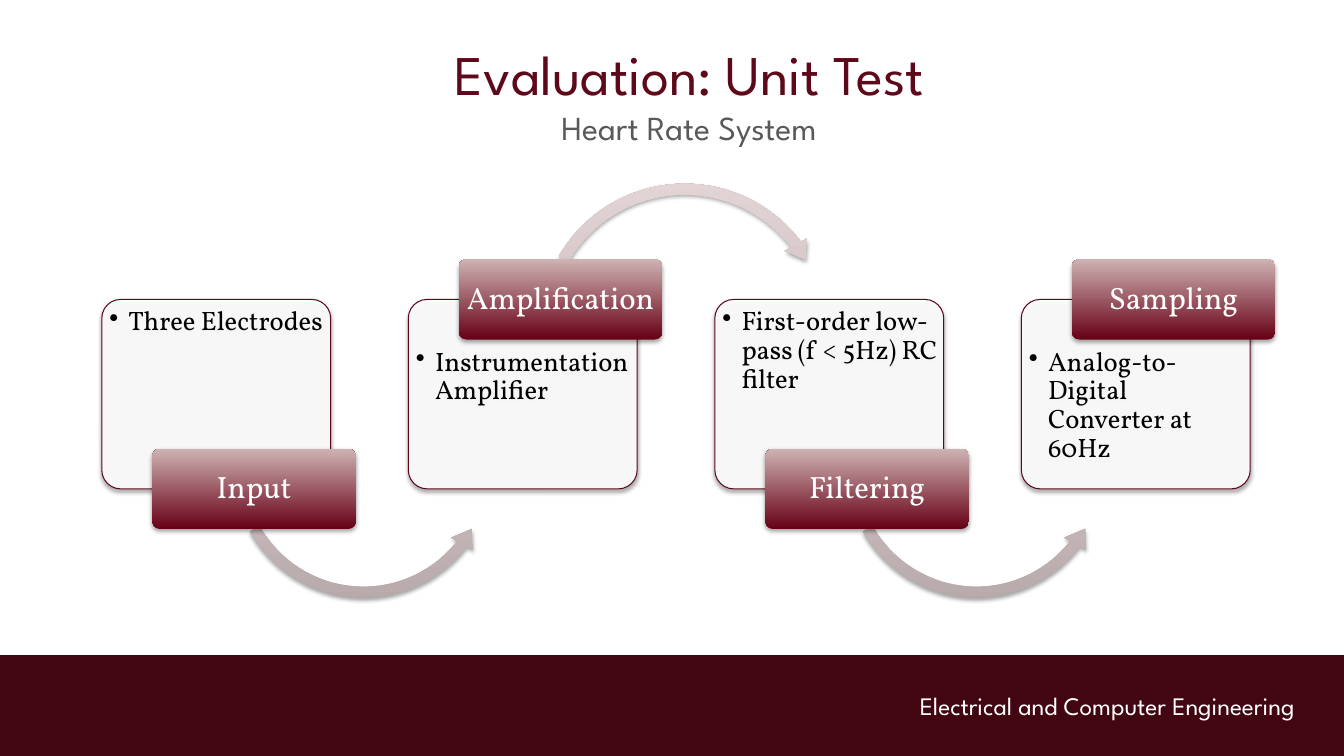
from dataclasses import dataclass

from lxml import etree
from pptx import Presentation
from pptx.dml.color import RGBColor
from pptx.enum.shapes import MSO_SHAPE
from pptx.enum.text import MSO_ANCHOR, PP_ALIGN
from pptx.oxml.ns import qn
from pptx.util import Inches, Pt

RECTANGLE, ROUNDED = MSO_SHAPE.RECTANGLE, MSO_SHAPE.ROUNDED_RECTANGLE
ARC_OVER, ARC_UNDER = MSO_SHAPE.CIRCULAR_ARROW, MSO_SHAPE.LEFT_CIRCULAR_ARROW
LEFT, CENTER, RIGHT = PP_ALIGN.LEFT, PP_ALIGN.CENTER, PP_ALIGN.RIGHT
TOP, MIDDLE = MSO_ANCHOR.TOP, MSO_ANCHOR.MIDDLE

HEADING_FONT, BODY_FONT = "League Spartan", "Vollkorn"
MAROON, DARK_MAROON, WHITE, BLACK, GREY = "5E091A", "410611", "FFFFFF", "000000", "595959"
LABEL_SHADES = ("670015", "CFB3B4")
ARROW_SHADES = ("B8AAAA", "E3D5D6")

# Grid of the four steps, in inches
SLIDE_W, SLIDE_H = 13.33, 7.5
FIRST_COLUMN, COLUMN_PITCH = 1.01, 3.04
PANEL_TOP, PANEL_W, PANEL_H = 2.97, 2.27, 1.88
LABEL_SHIFT, LABEL_W, LABEL_H = 0.5, 2.02, 0.8
ARROW_SHIFT = 1.23
BAND_H = 1.0


@dataclass(frozen=True)
class Step:
    name: str
    detail: str
    label_above: bool


@dataclass(frozen=True)
class Arc:
    preset: MSO_SHAPE
    top: float
    size: float
    adjustments: tuple[float, ...]


STEPS = (
    Step("Input", "Three Electrodes", False),
    Step("Amplification", "Instrumentation Amplifier", True),
    Step("Filtering", "First-order low-pass (f < 5Hz) RC filter", False),
    Step("Sampling", "Analog-to-Digital Converter at 60Hz", True),
)
OVER = Arc(ARC_OVER, 1.75, 3.02, (0.036, 4.463, 193.782, 125.755, 0.042))
UNDER = Arc(ARC_UNDER, 3.27, 2.73, (0.04, 4.983, 22.738, 90.245, 0.046))


def color(hex_code: str) -> RGBColor:
    return RGBColor.from_string(hex_code)


def box(left: float, top: float, width: float, height: float) -> tuple:
    return Inches(left), Inches(top), Inches(width), Inches(height)


def write(holder, *lines, font=BODY_FONT, align=LEFT, anchor=TOP, spacing=None,
          insets=(0.1, 0.05, 0.1, 0.05), bullet_indent=0.0) -> None:
    """Fill one paragraph with lines given as (text, size, colour)."""
    frame = holder.text_frame
    frame.word_wrap = True
    frame.vertical_anchor = anchor
    (frame.margin_left, frame.margin_top,
     frame.margin_right, frame.margin_bottom) = box(*insets)
    paragraph = frame.paragraphs[0]
    paragraph.alignment = align
    if spacing:
        paragraph.line_spacing = spacing
    if bullet_indent:
        properties = paragraph._p.get_or_add_pPr()
        properties.set("marL", str(Inches(bullet_indent)))
        properties.set("indent", str(-Inches(bullet_indent)))
        etree.SubElement(properties, qn("a:buChar"), char="•")
    for index, (text, size, hex_code) in enumerate(lines):
        if index:
            paragraph.add_line_break()
        run = paragraph.add_run()
        run.text = text
        run.font.name, run.font.size = font, Pt(size)
        run.font.color.rgb = color(hex_code)


def draw(slide, preset, place: tuple, fill=None, shades=None, outline=None,
         opacity=None, adjustments=(), shadow=True):
    """Draw a preset shape, filled plainly or with shades from bottom to top."""
    shape = slide.shapes.add_shape(preset, *box(*place))
    for index, value in enumerate(adjustments):
        shape.adjustments[index] = value
    if shades:
        shape.fill.gradient()
        shape.fill.gradient_angle = 90
        for stop, position, shade in zip(shape.fill.gradient_stops, (0, 1), shades):
            stop.position = position
            stop.color.rgb = color(shade)
    else:
        shape.fill.solid()
        shape.fill.fore_color.rgb = color(fill)
    properties = shape._element.spPr
    if opacity:
        solid = properties.find(qn("a:solidFill"))
        etree.SubElement(solid[0], qn("a:alpha"), val=str(opacity * 1000))
    if outline:
        shape.line.color.rgb = color(outline)
        shape.line.width = Pt(0.75)
    else:
        shape.line.fill.background()
    shape.shadow.inherit = False
    if shadow:
        outer = etree.SubElement(
            properties.find(qn("a:effectLst")), qn("a:outerShdw"),
            blurRad=str(Pt(3.1)), dist=str(Pt(1.8)), dir="5400000", rotWithShape="0")
        tone = etree.SubElement(outer, qn("a:srgbClr"), val=BLACK)
        etree.SubElement(tone, qn("a:alpha"), val="35000")
    return shape


def draw_step(slide, index: int, step: Step) -> None:
    left = FIRST_COLUMN + index * COLUMN_PITCH

    # Panel with the detail, kept clear of a label on its top edge
    panel = draw(slide, ROUNDED, (left, PANEL_TOP, PANEL_W, PANEL_H), fill=WHITE,
                 outline=MAROON, opacity=90, adjustments=(0.1,))
    clearance = LABEL_H / 2 if step.label_above else 0
    write(panel, (step.detail, 19, BLACK), spacing=0.9, bullet_indent=0.19,
          insets=(0.02, 0.03 + clearance, 0, 0.04))

    # Arrow to the next step
    if index < len(STEPS) - 1:
        arc = OVER if step.label_above else UNDER
        draw(slide, arc.preset, (left + ARROW_SHIFT, arc.top, arc.size, arc.size),
             shades=ARROW_SHADES, adjustments=arc.adjustments)

    # Label centred on the panel's top or bottom edge
    edge = PANEL_TOP if step.label_above else PANEL_TOP + PANEL_H
    label = draw(slide, ROUNDED,
                 (left + LABEL_SHIFT, edge - LABEL_H / 2, LABEL_W, LABEL_H),
                 shades=LABEL_SHADES, adjustments=(0.1,))
    write(label, (step.name, 22, WHITE), align=CENTER, anchor=MIDDLE, spacing=0.9,
          insets=(0.05, 0.03, 0.05, 0.03))


def main() -> None:
    deck = Presentation()
    deck.slide_width, deck.slide_height = Inches(SLIDE_W), Inches(SLIDE_H)
    slide = deck.slides.add_slide(deck.slide_layouts[6])

    # Footer band
    draw(slide, RECTANGLE, (0, SLIDE_H - BAND_H, SLIDE_W, BAND_H),
         fill=DARK_MAROON, shadow=False)
    department = slide.shapes.add_textbox(*box(7.89, 6.8, 5.05, 0.4))
    write(department, ("Electrical and Computer Engineering", 18, WHITE),
          font=HEADING_FONT, align=RIGHT)

    # Heading
    heading = slide.shapes.add_textbox(*box(1, 0.3, 11.67, 1.25))
    write(heading, ("Evaluation: Unit Test", 40, MAROON), ("Heart Rate System", 24, GREY),
          font=HEADING_FONT, align=CENTER, anchor=MIDDLE)

    # Process steps
    for index, step in enumerate(STEPS):
        draw_step(slide, index, step)

    deck.save("out.pptx")


if __name__ == "__main__":
    main()
